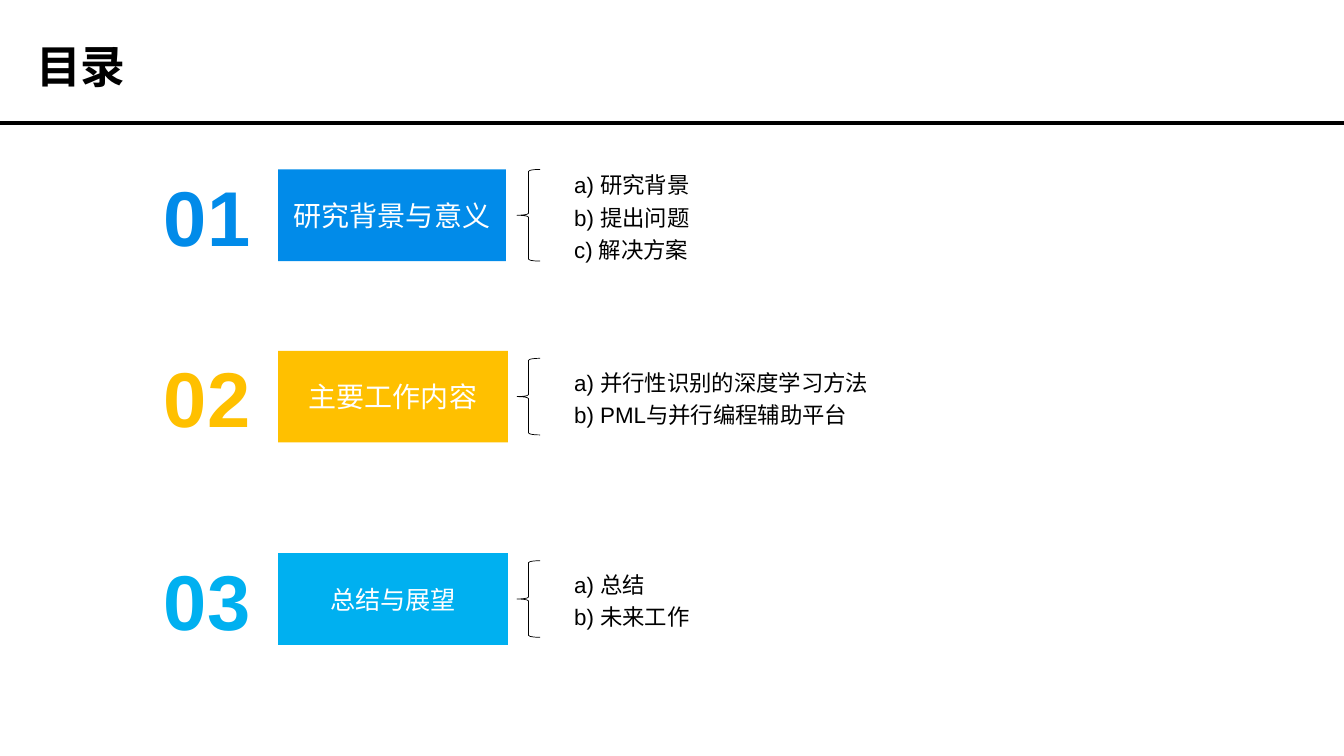
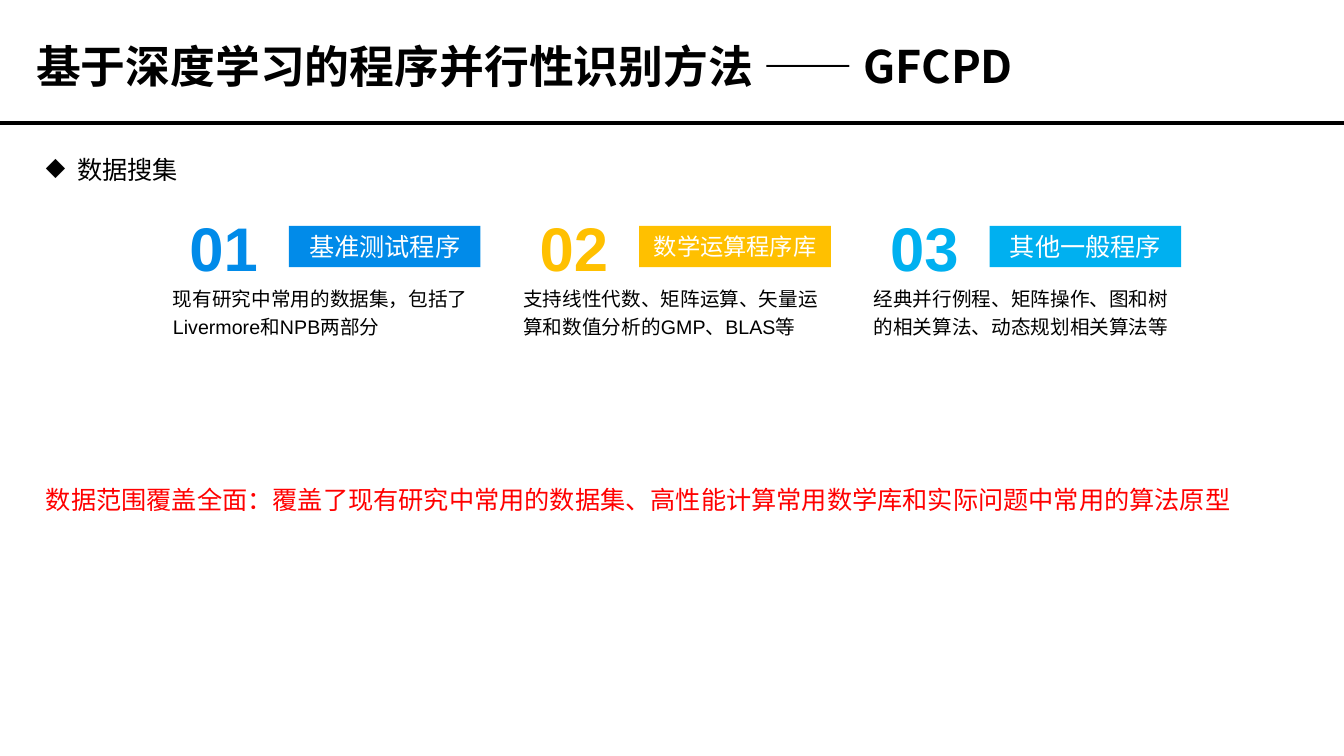
from lxml import etree
from pptx import Presentation, util as u
from pptx.dml.color import RGBColor
from pptx.enum import shapes, text
from pptx.oxml import ns

Cm, Pt = u.Cm, u.Pt

# Shared colours, fonts and text formats
BLACK = RGBColor(0x00, 0x00, 0x00)
WHITE = RGBColor(0xFF, 0xFF, 0xFF)
RED = RGBColor(0xFF, 0x00, 0x00)
BLUE = RGBColor(0x01, 0x8B, 0xE9)
YELLOW = RGBColor(0xFF, 0xC0, 0x00)
CYAN = RGBColor(0x00, 0xB0, 0xF0)
ACCENTS = [BLUE, YELLOW, CYAN]
BODY_FONT, TITLE_FONT = "Arial", "Noto Sans CJK SC"
TITLE = {"size": Pt(32), "bold": True, "name": TITLE_FONT}
NO_MARGINS = dict.fromkeys(
    ["margin_left", "margin_right", "margin_top", "margin_bottom"], 0)
CENTRED = {"alignment": text.PP_ALIGN.CENTER}
SPACED = {"line_spacing": 1.2}
MIDDLE = {"vertical_anchor": text.MSO_ANCHOR.MIDDLE}

presentation = Presentation()
presentation.slide_width, presentation.slide_height = Cm(33.87), Cm(19.05)


def add_text(slide, box, lines, color, font, paragraph_format={},
             frame_format={}, fill=None):
    """Add a text box, or a filled rectangle when a fill is given."""
    lengths = [Cm(value) for value in box]
    if fill is None:
        shape = slide.shapes.add_textbox(*lengths)
    else:
        shape = slide.shapes.add_shape(shapes.MSO_SHAPE.RECTANGLE, *lengths)
        shape.shadow.inherit = False
        shape.fill.solid()
        shape.fill.fore_color.rgb = fill
        shape.line.fill.background()
    frame = shape.text_frame
    for name, value in {"word_wrap": True, **frame_format}.items():
        setattr(frame, name, value)
    frame.text = "\n".join(lines)
    for paragraph in frame.paragraphs:
        for name, value in paragraph_format.items():
            setattr(paragraph, name, value)
        for run in paragraph.runs:
            for name, value in {"name": BODY_FONT, **font}.items():
                setattr(run.font, name, value)
            run.font.color.rgb = color
    return shape


def start_slide(title):
    """Add a blank slide with the title and the rule below it."""
    slide = presentation.slides.add_slide(presentation.slide_layouts[6])
    rule = slide.shapes.add_connector(
        shapes.MSO_CONNECTOR.STRAIGHT, 0, Cm(3.1), presentation.slide_width, Cm(3.1))
    rule.line.color.rgb = BLACK
    rule.line.width = Pt(3)
    etree.SubElement(rule._element.spPr, ns.qn("a:effectLst"))
    add_text(slide, (0.66, 0.84, 29.4, 1.62), [title], BLACK, TITLE)
    return slide


# Slide 1: contents
slide = start_slide("目录")
ROW_HEIGHT = 2.31
chapters = [
    # top, heading, heading size, heading width, brace height, list height, items
    (4.27, "研究背景与意义", 20, 5.74, 2.31, 2.72,
     ["a) 研究背景", "b) 提出问题", "c) 解决方案"]),
    (8.84, "主要工作内容", 20, 5.79, 1.93, 1.93,
     ["a) 并行性识别的深度学习方法", "b) PML与并行编程辅助平台"]),
    (13.94, "总结与展望", 18, 5.79, 1.93, 1.93,
     ["a) 总结", "b) 未来工作"]),
]
for number, (chapter, accent) in enumerate(zip(chapters, ACCENTS), 1):
    top, heading, size, width, brace_height, list_height, items = chapter
    middle = top + ROW_HEIGHT / 2
    add_text(slide, (7.01, top, width, ROW_HEIGHT), [heading], WHITE,
             {"size": Pt(size)}, CENTRED, MIDDLE, accent)
    add_text(slide, (4.04, top, 2.36, ROW_HEIGHT), [f"{number:02}"], accent,
             {"size": Pt(55.5), "bold": True}, CENTRED, {**MIDDLE, **NO_MARGINS})
    add_text(slide, (14.22, middle - list_height / 2, 9.6, list_height), items,
             BLACK, {"size": Pt(16)}, SPACED)
    brace = slide.shapes.add_shape(
        shapes.MSO_SHAPE.LEFT_BRACE, Cm(13.03), Cm(middle - brace_height / 2),
        Cm(0.58), Cm(brace_height))
    brace.shadow.inherit = False
    brace.fill.background()
    brace.line.color.rgb = BLACK
    brace.line.width = Pt(0.5)

# Slide 2: data collection
slide = start_slide("基于深度学习的程序并行性识别方法 —— GFCPD")
topic = add_text(slide, (0.91, 3.76, 3.89, 1.02), ["数据搜集"], BLACK,
                 {"size": Pt(18)}, frame_format={"word_wrap": False})
properties = topic.text_frame.paragraphs[0]._p.get_or_add_pPr()
properties.set("marL", str(Cm(0.79)))
properties.set("indent", str(-Cm(0.79)))
etree.SubElement(properties, ns.qn("a:buChar"), char="◆")

# Three data sources in equal columns
COLUMN_LEFT, COLUMN_STEP = 4.11, 8.83
sources = [
    ("基准测试程序", 18, "现有研究中常用的数据集，包括了Livermore和NPB两部分"),
    ("数学运算程序库", 16.6, "支持线性代数、矩阵运算、矢量运算和数值分析的GMP、BLAS等"),
    ("其他一般程序", 18, "经典并行例程、矩阵操作、图和树的相关算法、动态规划相关算法等"),
]
for index, ((heading, size, description), accent) in enumerate(zip(sources, ACCENTS)):
    left = COLUMN_LEFT + index * COLUMN_STEP
    add_text(slide, (left + 3.17, 5.69, 4.83, 1.04), [heading], WHITE,
             {"size": Pt(size)}, CENTRED, MIDDLE, accent)
    add_text(slide, (left, 5.44, 3.05, 1.55), [f"{index + 1:02}"], accent,
             {"size": Pt(44), "bold": True}, CENTRED, {**MIDDLE, **NO_MARGINS})
    add_text(slide, (left, 6.99, 7.98, 1.22), [description], BLACK,
             {"size": Pt(14)}, SPACED)

# Conclusion
add_text(slide, (0.91, 12.07, 31.29, 1.02),
         ["数据范围覆盖全面：覆盖了现有研究中常用的数据集、高性能计算常用数学库和实际问题中常用的算法原型"],
         RED, {"size": Pt(18)}, frame_format={"word_wrap": False})

presentation.save("out.pptx")
